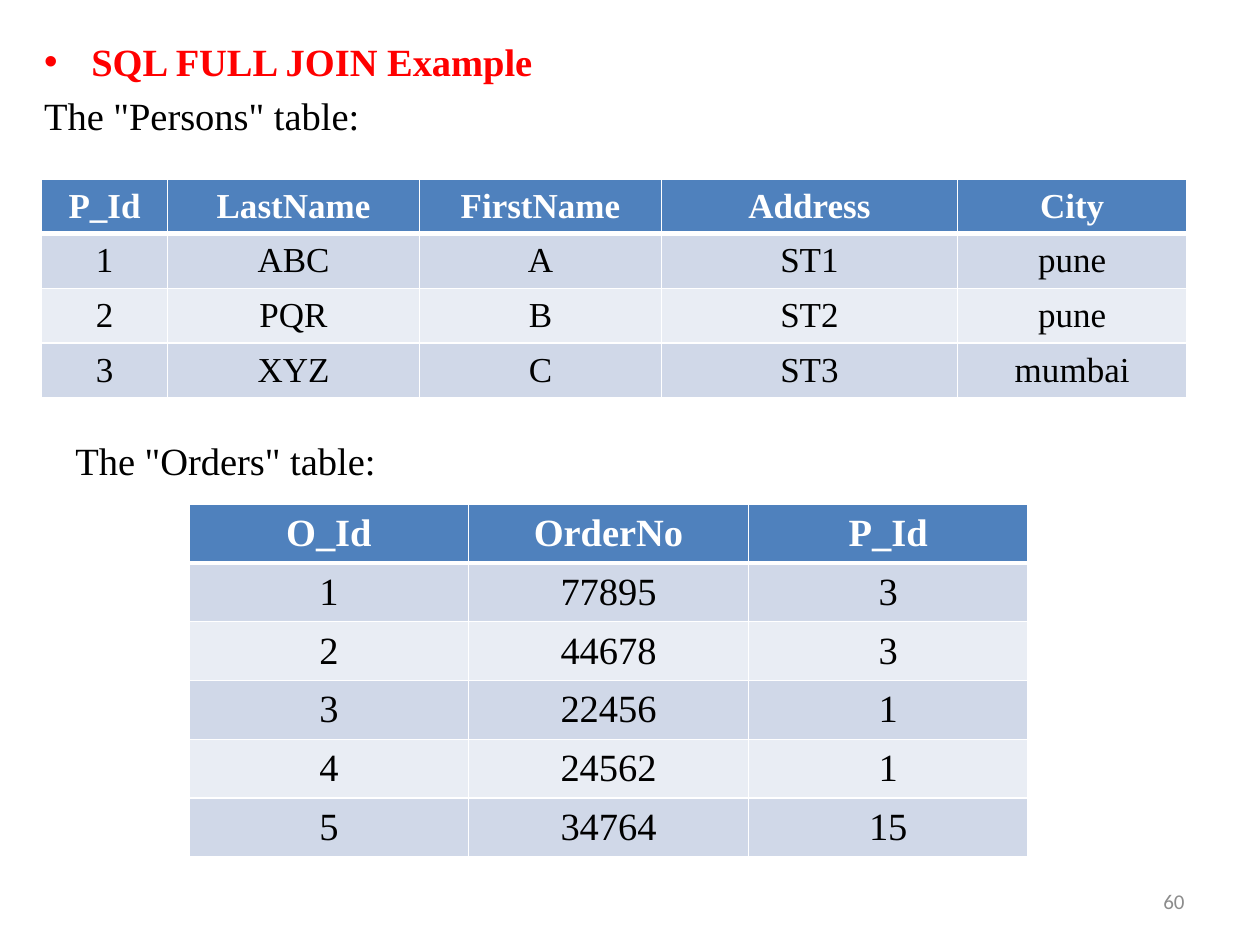
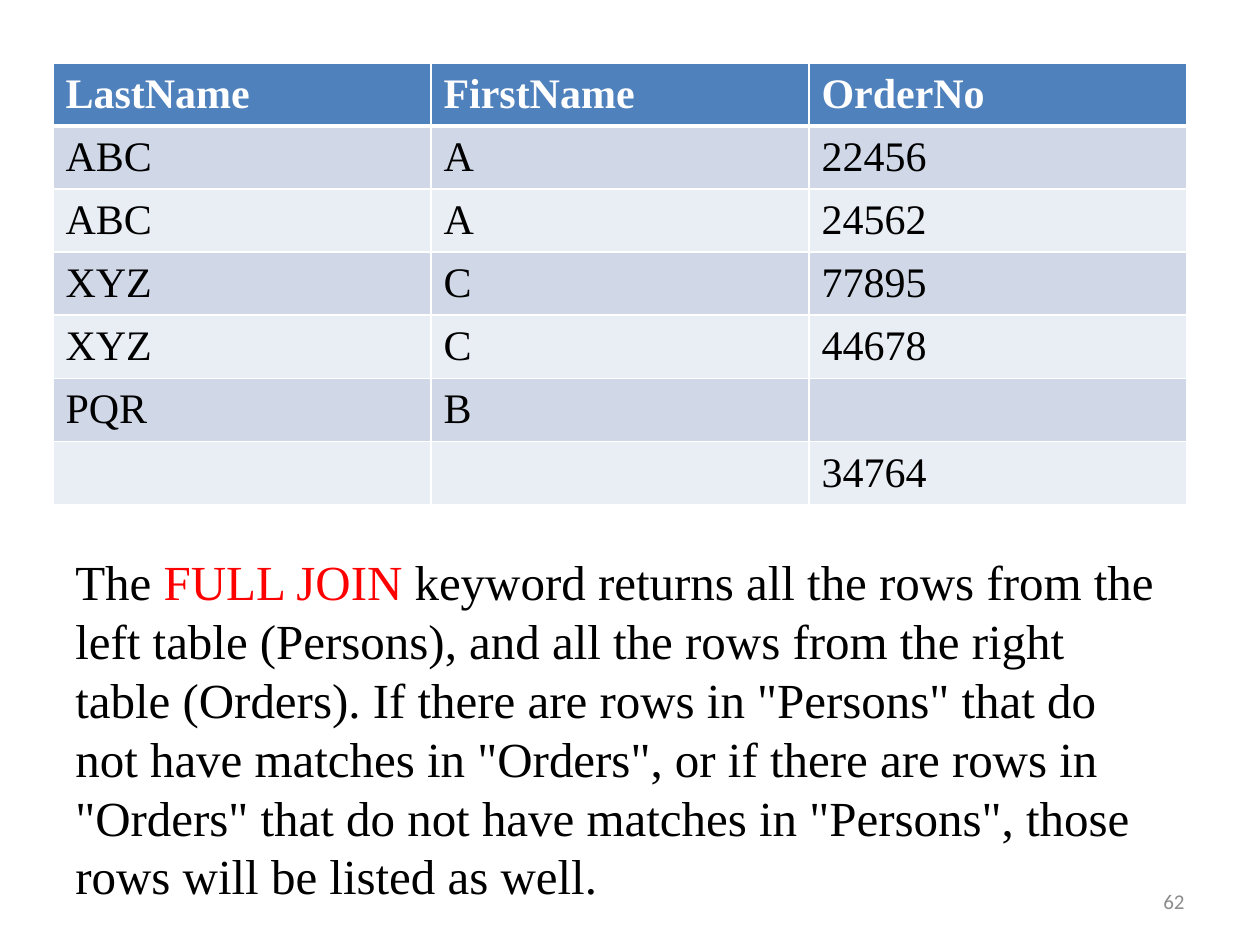
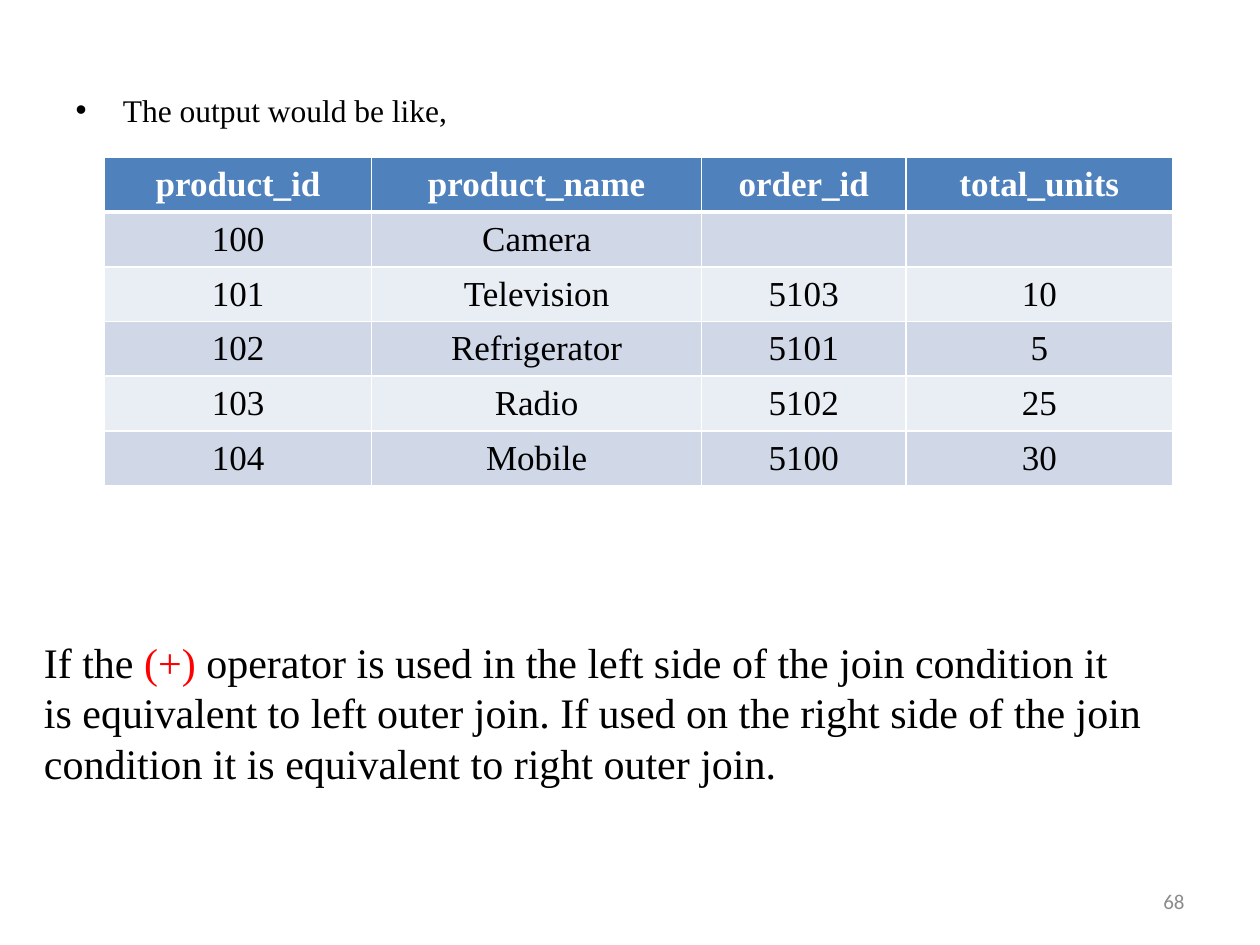
from dataclasses import dataclass

from lxml.etree import SubElement
from pptx import Presentation
from pptx.dml.color import RGBColor
from pptx.enum.text import MSO_ANCHOR, PP_ALIGN
from pptx.oxml.ns import qn
from pptx.slide import Slide
from pptx.util import Inches, Pt


@dataclass(frozen=True)
class Theme:
    font: str = "Times New Roman"
    number_font: str = "Calibri"
    ink: str = "000000"
    accent: str = "FF0000"
    white: str = "FFFFFF"
    muted: str = "8C8C8C"
    header: str = "4F81BD"
    bands: tuple[str, str] = ("D0D8E8", "E9EDF4")
    number: int = 12
    small: int = 18
    cell: int = 20
    heading: int = 22
    large: int = 24
    statement: int = 28
    border: int = 1
    header_rule: int = 3


THEME = Theme()
TITLE_AND_CONTENT, BLANK = 1, 6


@dataclass(frozen=True)
class Box:
    left: float
    top: float
    width: float
    height: float

    def emu(self) -> tuple[int, int, int, int]:
        return (Inches(self.left), Inches(self.top),
                Inches(self.width), Inches(self.height))


@dataclass(frozen=True)
class Span:
    text: str
    color: str = THEME.ink
    bold: bool = False


@dataclass(frozen=True)
class Line:
    span: Span
    bullet: bool = True


@dataclass(frozen=True)
class Grid:
    left: float
    top: float
    columns: tuple[float, ...]
    row_height: float
    rows: tuple[tuple[str, ...], ...]
    size: int = THEME.cell
    align: PP_ALIGN = PP_ALIGN.CENTER


def style_run(r, size: int, color: str, bold: bool = False,
              font: str = THEME.font) -> None:
    r.font.name = font
    r.font.size = Pt(size)
    r.font.bold = bold
    r.font.color.rgb = RGBColor.from_string(color)


def add_body(slide: Slide, box: Box, lines: list[Line], size: int) -> None:
    """Fill the content placeholder and drop the unused title."""
    title = slide.shapes.title
    title.element.getparent().remove(title.element)
    sp = slide.placeholders[1]
    sp.left, sp.top, sp.width, sp.height = box.emu()
    tf = sp.text_frame
    tf.text = "\n".join(line.span.text for line in lines)
    for p, line in zip(tf.paragraphs, lines):
        style_run(p.runs[0], size, line.span.color, line.span.bold)
        if not line.bullet:
            SubElement(p._p.get_or_add_pPr(), qn("a:buNone"))


def add_text(slide: Slide, box: Box, spans: list[Span], size: int,
             wrap: bool = True) -> None:
    tf = slide.shapes.add_textbox(*box.emu()).text_frame
    tf.word_wrap = wrap
    p = tf.paragraphs[0]
    for span in spans:
        r = p.add_run()
        r.text = span.text
        style_run(r, size, span.color, span.bold)


def add_number(slide: Slide, number: int) -> None:
    tf = slide.shapes.add_textbox(*Box(7.17, 6.95, 2.33, 0.4).emu()).text_frame
    tf.word_wrap = True
    tf.vertical_anchor = MSO_ANCHOR.MIDDLE
    p = tf.paragraphs[0]
    p.text = str(number)
    p.alignment = PP_ALIGN.RIGHT
    style_run(p.runs[0], THEME.number, THEME.muted, font=THEME.number_font)


def set_borders(cell, row: int) -> None:
    """White cell borders, with a heavier rule under the header row."""
    widths = dict.fromkeys(("lnL", "lnR", "lnT", "lnB"), THEME.border)
    if row == 0:
        widths["lnB"] = THEME.header_rule
    elif row == 1:
        widths["lnT"] = THEME.header_rule
    tc_pr = cell._tc.get_or_add_tcPr()
    for tag, width in widths.items():
        ln = SubElement(tc_pr, qn(f"a:{tag}"), w=str(Pt(width)))
        fill = SubElement(ln, qn("a:solidFill"))
        SubElement(fill, qn("a:srgbClr"), val=THEME.white)


def add_grid(slide: Slide, grid: Grid) -> None:
    box = Box(grid.left, grid.top, sum(grid.columns),
              grid.row_height * len(grid.rows))
    table = slide.shapes.add_table(
        len(grid.rows), len(grid.columns), *box.emu()).table
    for column, width in zip(table.columns, grid.columns):
        column.width = Inches(width)
    for i, values in enumerate(grid.rows):
        is_header = i == 0
        fill = THEME.header if is_header else THEME.bands[(i - 1) % 2]
        color = THEME.white if is_header else THEME.ink
        for j, value in enumerate(values):
            cell = table.cell(i, j)
            set_borders(cell, i)
            cell.fill.solid()
            cell.fill.fore_color.rgb = RGBColor.from_string(fill)
            cell.vertical_anchor = MSO_ANCHOR.MIDDLE
            p = cell.text_frame.paragraphs[0]
            p.text = value
            p.alignment = grid.align
            for r in p.runs:
                style_run(r, grid.size, color, is_header)


PERSONS = Grid(0.33, 1.42, (1, 2, 1.92, 2.35, 1.82), 0.41, (
    ("P_Id", "LastName", "FirstName", "Address", "City"),
    ("1", "ABC", "A", "ST1", "pune"),
    ("2", "PQR", "B", "ST2", "pune"),
    ("3", "XYZ", "C", "ST3", "mumbai"),
))
ORDERS = Grid(1.5, 4, (2.22,) * 3, 2.8 / 6, (
    ("O_Id", "OrderNo", "P_Id"),
    ("1", "77895", "3"),
    ("2", "44678", "3"),
    ("3", "22456", "1"),
    ("4", "24562", "1"),
    ("5", "34764", "15"),
), THEME.heading)
FULL_JOIN = Grid(0.42, 0.5, (3,) * 3, 0.47, (
    ("LastName", "FirstName", "OrderNo"),
    ("ABC", "A", "22456"),
    ("ABC", "A", "24562"),
    ("XYZ", "C", "77895"),
    ("XYZ", "C", "44678"),
    ("PQR", "B", ""),
    ("", "", "34764"),
), THEME.large, PP_ALIGN.LEFT)
PRODUCTS = Grid(0.83, 1.25, (2.12, 2.62, 1.62, 2.12), 0.41, (
    ("product_id", "product_name", "order_id", "total_units"),
    ("100", "Camera", "", ""),
    ("101", "Television", "5103", "10"),
    ("102", "Refrigerator", "5101", "5"),
    ("103", "Radio", "5102", "25"),
    ("104", "Mobile", "5100", "30"),
))

prs = Presentation()
prs.slide_width, prs.slide_height = Inches(10), Inches(7.5)


def new_slide(layout: int, number: int) -> Slide:
    slide = prs.slides.add_slide(prs.slide_layouts[layout])
    add_number(slide, number)
    return slide


# Source tables of the full join
slide = new_slide(TITLE_AND_CONTENT, 60)
add_body(slide, Box(0.25, 0.25, 9.25, 6.45), [
    Line(Span("SQL FULL JOIN Example", THEME.accent, bold=True)),
    Line(Span('The "Persons" table:'), bullet=False),
], THEME.heading)
add_grid(slide, PERSONS)
add_text(slide, Box(0.5, 3.42, 2.61, 0.47), [Span('The "Orders" table:')],
         THEME.heading, wrap=False)
add_grid(slide, ORDERS)

# Result of the full join
slide = new_slide(BLANK, 62)
add_grid(slide, FULL_JOIN)
add_text(slide, Box(0.5, 4.33, 8.83, 2.93), [
    Span("The "),
    Span("FULL JOIN ", THEME.accent),
    Span("keyword returns all the rows from the left table (Persons), and all "
         "the rows from the right table (Orders). If there are rows in "
         '"Persons" that do not have matches in "Orders", or if there are rows '
         'in "Orders" that do not have matches in "Persons", those rows will '
         "be listed as well."),
], THEME.statement)

# Outer join output
slide = new_slide(TITLE_AND_CONTENT, 68)
add_body(slide, Box(0.5, 0.67, 9, 6.03),
         [Line(Span("The output would be like,"))], THEME.small)
add_grid(slide, PRODUCTS)
add_text(slide, Box(0.25, 5, 8.92, 1.31), [
    Span("If the "),
    Span("(+)", THEME.accent),
    Span(" operator is used in the left side of the join condition it is "
         "equivalent to left outer join. If used on the right side of the "
         "join condition it is equivalent to right outer join."),
], THEME.large)

prs.save("out.pptx")
